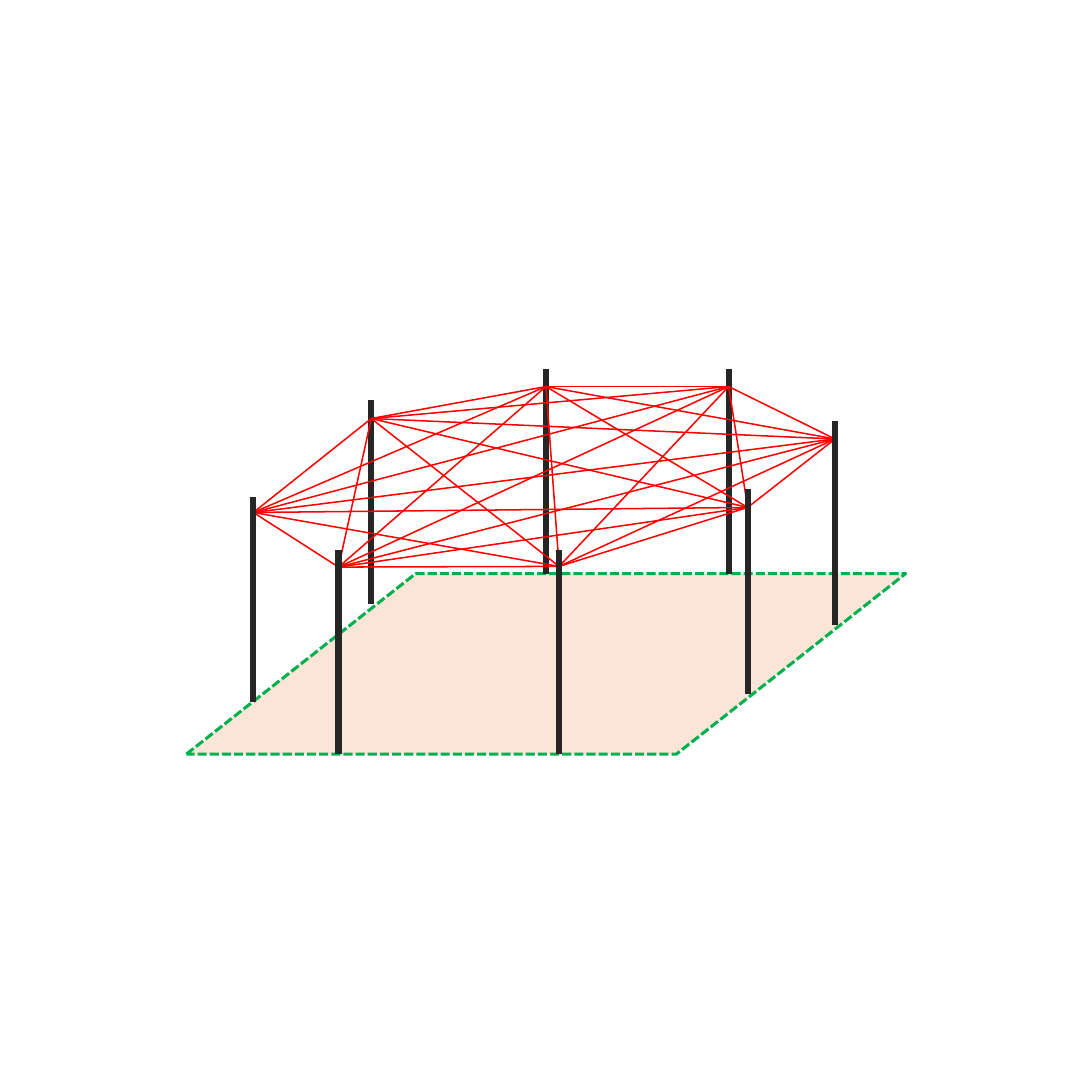
"""Draw eight posts around a plot of ground, every pair of posts tied by a red wire."""
from itertools import combinations

from lxml import etree
from pptx import Presentation
from pptx.dml.color import RGBColor
from pptx.enum.dml import MSO_LINE
from pptx.enum.shapes import MSO_CONNECTOR, MSO_SHAPE
from pptx.oxml.ns import qn
from pptx.util import Inches, Pt

PARALLELOGRAM = MSO_SHAPE.PARALLELOGRAM
STRAIGHT = MSO_CONNECTOR.STRAIGHT
DASH = MSO_LINE.SQUARE_DOT
SAND = RGBColor(0xFB, 0xE5, 0xD6)
GREEN = RGBColor(0x00, 0xB0, 0x50)
BLACK = RGBColor(0x26, 0x26, 0x26)
RED = RGBColor(0xFF, 0x00, 0x00)

SIDE = Inches(15)
POST_HEIGHT = 18.73


def pct(share):
    return round(SIDE * share / 100)


def add_line(s, start, end, color, width):
    c = s.shapes.add_connector(STRAIGHT, *map(pct, start + end))
    c.line.color.rgb = color
    c.line.width = Pt(width)
    etree.SubElement(c._element.spPr, qn("a:effectLst"))


prs = Presentation()
prs.slide_width = prs.slide_height = SIDE
s = prs.slides.add_slide(prs.slide_layouts[6])

ground = s.shapes.add_shape(PARALLELOGRAM, *map(pct, (17.07, 52.53, 65.87, 16.53)))
ground.adjustments[0] = 1.27
ground.shadow.inherit = False
ground.fill.solid()
ground.fill.fore_color.rgb = SAND
ground.line.color.rgb = GREEN
ground.line.width = Pt(3)
ground.line.dash_style = DASH

# x, foot and wire height of each post, in percent of the slide side
back_posts = [(50, 52.53, 35.4), (66.73, 52.53, 35.4), (34, 55.33, 38.33)]
front_posts = [
    (23.2, 64.27, 46.93),
    (31, 69.07, 51.93),
    (51.2, 69.07, 51.87),
    (68.47, 63.53, 46.47),
    (76.47, 57.27, 40.2),
]
ties = [(x, tie) for x, foot, tie in back_posts + front_posts]

for x, foot, tie in back_posts:
    add_line(s, (x, foot), (x, foot - POST_HEIGHT), BLACK, 6)
for start, end in combinations(ties, 2):
    add_line(s, start, end, RED, 1.5)
for x, foot, tie in front_posts:
    add_line(s, (x, foot), (x, foot - POST_HEIGHT), BLACK, 6)

prs.save("out.pptx")
